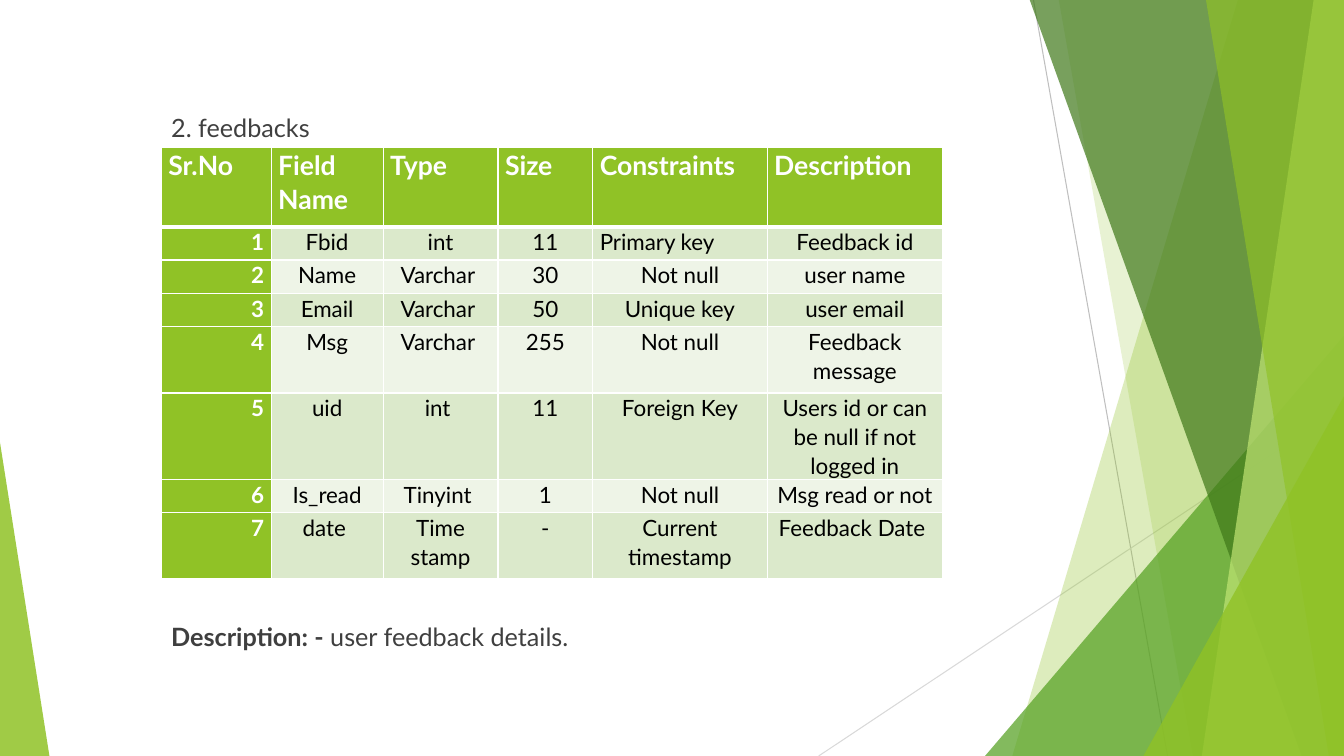
"""Build the slide that describes the feedbacks table."""
from dataclasses import dataclass

from lxml import etree
from pptx import Presentation
from pptx.dml.color import RGBColor
from pptx.enum.shapes import MSO_CONNECTOR, MSO_SHAPE
from pptx.enum.text import PP_ALIGN
from pptx.oxml.ns import qn
from pptx.util import Pt

LEFT, CENTER, RIGHT = PP_ALIGN.LEFT, PP_ALIGN.CENTER, PP_ALIGN.RIGHT
LINE, TRIANGLE = MSO_CONNECTOR.STRAIGHT, MSO_SHAPE.ISOSCELES_TRIANGLE
SCALE = 9144
WIDE, HIGH = 1333, 750
FONT = "Lato"
COLORS = {
    "green": "90C226", "leaf": "54A021", "moss": "3F7819", "lime": "C0E474",
    "band": "DBE9CB", "pale": "EEF4E7", "white": "FFFFFF", "black": "000000",
    "gray": "BFBFBF", "mist": "D9D9D9", "text": "404040", "note": "3F3F3F",
}


@dataclass
class Ray:
    start: tuple[int, int]
    end: tuple[int, int]
    color: str


@dataclass
class Shard:
    top: tuple[int, int]
    foot: tuple[int, int]
    color: str
    alpha: int


@dataclass
class Wedge:
    box: tuple[int, int, int, int]
    tip: int
    color: str
    alpha: int


@dataclass
class Run:
    text: str
    size: int
    color: str
    bold: bool = False


@dataclass
class Label:
    box: tuple[int, int, int, int]
    runs: list[Run]


RAYS = [
    Ray((1025, 0), (1158, HIGH), "gray"),
    Ray((WIDE, 403), (812, HIGH), "mist"),
]
DECOR = [
    Shard((1228, WIDE), (1004, WIDE), "green", 30),
    Shard((1050, WIDE), (1183, WIDE), "green", 20),
    Wedge((977, 333, 356, 417), 1, "leaf", 72),
    Shard((1021, WIDE), (1291, WIDE), "moss", 70),
    Shard((1303, WIDE), (1192, WIDE), "lime", 70),
    Shard((1196, WIDE), (1318, WIDE), "green", 65),
    Wedge((1134, 393, 199, 357), 1, "green", 80),
    Wedge((0, 439, 49, 311), 0, "green", 85),
]
LABELS = [
    Label((160, 107, 854, 424), [Run("2. feedbacks", 18, "text")]),
    Label((160, 611, 747, 81), [
        Run("Description: -", 18, "note", True),
        Run(" user feedback details.", 18, "note"),
    ]),
]
COLS = [109, 111, 114, 94, 173, 174]
ROWS = [79, 33, 33, 33, 66, 66, 33, 66]
DATA = [
    ["Sr.No", "Field Name", "Type", "Size", "Constraints", "Description"],
    ["1", "Fbid", "int", "11", "Primary key", "Feedback id"],
    ["2", "Name", "Varchar ", "30", "Not null", "user name"],
    ["3", "Email", "Varchar ", "50", "Unique key", "user email"],
    ["4", "Msg", "Varchar ", "255", "Not null", "Feedback message"],
    ["5", "uid", "int ", "11", "Foreign Key",
     "Users id or can be null if not logged in"],
    ["6", "Is_read", "Tinyint ", "1", "Not null", "Msg read or not"],
    ["7", "date ", "Time stamp", "-", "Current timestamp", "Feedback Date "],
]


def px(*sizes: int) -> list[int]:
    return [size * SCALE for size in sizes]


def rgb(name: str) -> RGBColor:
    return RGBColor.from_string(COLORS[name])


def add_run(para, run: Run) -> None:
    item = para.add_run()
    item.text = run.text
    font = item.font
    font.name, font.size, font.bold = FONT, Pt(run.size), run.bold
    font.color.rgb = rgb(run.color)


def draw_ray(shapes, ray: Ray) -> None:
    line = shapes.add_connector(LINE, *px(*ray.start, *ray.end))
    line.line.color.rgb = rgb(ray.color)
    line.line.width = Pt(0.75)
    etree.SubElement(line._element.spPr, qn("a:effectLst"))


def draw_decor(shapes, part: Shard | Wedge) -> None:
    if isinstance(part, Wedge):
        shape = shapes.add_shape(TRIANGLE, *px(*part.box))
        shape.adjustments[0] = part.tip
    else:
        (left, right), (low, far) = part.top, part.foot
        form = shapes.build_freeform(left, -1, SCALE)
        form.add_line_segments([(right, -1), (far, HIGH), (low, HIGH)])
        shape = form.convert_to_shape()
    shape.shadow.inherit = False
    shape.line.fill.background()
    shape.fill.solid()
    shape.fill.fore_color.rgb = rgb(part.color)
    tint = shape._element.spPr.find(f".//{qn('a:srgbClr')}")
    etree.SubElement(tint, qn("a:alpha"), val=str(part.alpha * 1000))


def draw_label(shapes, label: Label) -> None:
    frame = shapes.add_textbox(*px(*label.box)).text_frame
    frame.word_wrap = True
    for run in label.runs:
        add_run(frame.paragraphs[0], run)


def add_edges(cell, row: int) -> None:
    props = cell._tc.get_or_add_tcPr()
    thick = {0: "B", 1: "T"}.get(row)
    for spot, side in enumerate("LRTB"):
        width = Pt(3 if side == thick else 1)
        edge = etree.Element(qn(f"a:ln{side}"), w=str(width))
        fill = etree.SubElement(edge, qn("a:solidFill"))
        etree.SubElement(fill, qn("a:srgbClr"), val=COLORS["white"])
        props.insert(spot, edge)


def fill_cell(cell, text: str, row: int, col: int) -> None:
    head = row == 0 or col == 0
    cell.margin_left, cell.margin_right = px(7, 7)
    cell.margin_top = cell.margin_bottom = 0
    cell.fill.solid()
    band = "band" if row % 2 else "pale"
    cell.fill.fore_color.rgb = rgb("green" if head else band)
    add_edges(cell, row)
    para = cell.text_frame.paragraphs[0]
    para.line_spacing = 1.07
    if row == 0 or text == "Primary key":
        para.alignment = LEFT
    else:
        para.alignment = CENTER if col else RIGHT
    size = 16 if row else 19
    add_run(para, Run(text, size, "white" if head else "black", head))


def draw_table(shapes) -> None:
    box = px(160, 146, sum(COLS), sum(ROWS))
    table = shapes.add_table(len(ROWS), len(COLS), *box).table
    table.first_row = table.horz_banding = False
    for col, width in zip(table.columns, px(*COLS)):
        col.width = width
    for row, height in zip(table.rows, px(*ROWS)):
        row.height = height
    for row, texts in enumerate(DATA):
        for col, text in enumerate(texts):
            fill_cell(table.cell(row, col), text, row, col)


def main() -> None:
    deck = Presentation()
    deck.slide_width, deck.slide_height = px(WIDE, HIGH)
    shapes = deck.slides.add_slide(deck.slide_layouts[6]).shapes
    for ray in RAYS:
        draw_ray(shapes, ray)
    for part in DECOR:
        draw_decor(shapes, part)
    heading, note = LABELS
    draw_label(shapes, heading)
    draw_table(shapes)
    draw_label(shapes, note)
    deck.save("out.pptx")


if __name__ == "__main__":
    main()
